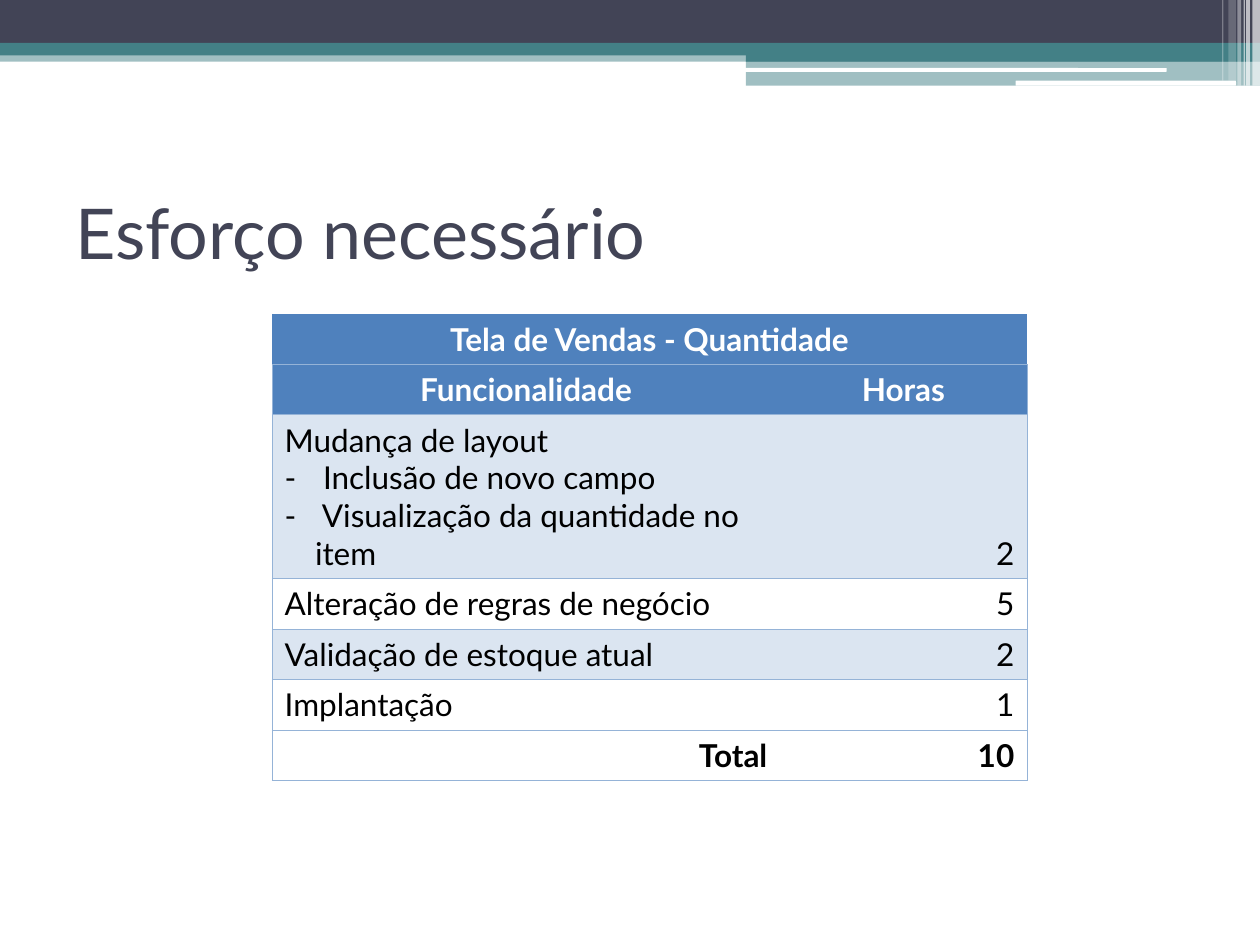
from lxml import etree
from pptx import Presentation
from pptx.dml.color import RGBColor
from pptx.enum import shapes, text
from pptx.oxml.ns import qn
from pptx.util import Inches, Pt

FONT = "Lato"
NAVY, TEAL, WHITE, BLACK = "424456", "438086", "FFFFFF", "000000"
BLUE, PALE, RULE = "4F81BD", "DBE5F1", "95B3D7"
NO_STYLE = "{2D5ABB26-0587-4C30-8999-92F81FD0307C}"

# left, top, width, height, colour, opacity in percent
BANDS = [
    (0, 0.4, 10, 0.09, TEAL, 50),
    (0, 0, 10, 0.34, NAVY, 100),
    (0, 0.34, 10, 0.1, TEAL, 100),
    (5.92, 0.39, 4.08, 0.1, TEAL, 100),
    (5.92, 0.48, 4.08, 0.2, TEAL, 50),
]
ROUNDED_BARS = [
    (5.91, 0.54, 3.35, 0.03, WHITE, 100),
    (8.06, 0.64, 1.75, 0.04, WHITE, 100),
]
STRIPES = [  # left, width, height, opacity
    (9.94, 0.06, 0.68, 65),
    (9.89, 0.03, 0.68, 65),
    (9.87, 0.01, 0.68, 60),
    (9.82, 0.03, 0.68, 40),
    (9.75, 0.06, 0.64, 20),
    (9.7, 0.01, 0.64, 30),
]

TITLE = "Esforço necessário"
HEADING = "Tela de Vendas - Quantidade"
COLUMNS = ("Funcionalidade", "Horas")
EFFORT = [
    (["Mudança de layout", "- Inclusão de novo campo",
      "- Visualização da quantidade no item"], 2),
    (["Alteração de regras de negócio"], 5),
    (["Validação de estoque atual"], 2),
    (["Implantação"], 1),
]
TOTAL = ("Total", sum(hours for _, hours in EFFORT))
COLUMN_WIDTHS = (4.03, 1.96)
ROW_HEIGHTS = (0.33, 0.4, 1.2, 0.4, 0.4, 0.4, 0.4)

LEFT, CENTER, RIGHT = (text.PP_ALIGN.LEFT, text.PP_ALIGN.CENTER,
                       text.PP_ALIGN.RIGHT)


def rgb(colour):
    return RGBColor.from_string(colour)


def add_bar(slide, kind, left, top, width, height, colour, opacity):
    bar = slide.shapes.add_shape(kind, *map(Inches, (left, top, width, height)))
    bar.shadow.inherit = False
    bar.line.fill.background()
    bar.fill.solid()
    bar.fill.fore_color.rgb = rgb(colour)
    if opacity < 100:
        tint = bar.fill._xPr.find(".//" + qn("a:srgbClr"))
        etree.SubElement(tint, qn("a:alpha"), val=str(opacity * 1000))


def add_run(paragraph, words, size, colour, bold=False):
    run = paragraph.add_run()
    run.text = words
    run.font.name, run.font.size, run.font.bold = FONT, Pt(size), bold
    run.font.color.rgb = rgb(colour)


def add_dash(paragraph):
    """Give the paragraph a hanging black dash as its bullet."""
    props = paragraph._p.get_or_add_pPr()
    props.set("marL", str(Inches(0.24)))
    props.set("indent", str(-Inches(0.24)))
    tint = etree.SubElement(props, qn("a:buClr"))
    etree.SubElement(tint, qn("a:srgbClr"), val=BLACK)
    etree.SubElement(props, qn("a:buFont"), typeface=FONT)
    etree.SubElement(props, qn("a:buChar"), char="-")


def set_borders(cell, **colours):
    """Rule the named sides (L, R, T, B) and clear the others."""
    props = cell._tc.get_or_add_tcPr()
    for place, side in enumerate("LRTB"):
        line = etree.Element(qn("a:ln" + side), w=str(Pt(0.23)))
        if side in colours:
            solid = etree.SubElement(line, qn("a:solidFill"))
            etree.SubElement(solid, qn("a:srgbClr"), val=colours[side])
        else:
            etree.SubElement(line, qn("a:noFill"))
        props.insert(place, line)


def fill_cell(cell, lines, align, colour, bold, fill):
    cell.vertical_anchor = text.MSO_ANCHOR.BOTTOM
    if fill:
        cell.fill.solid()
        cell.fill.fore_color.rgb = rgb(fill)
    else:
        cell.fill.background()
    for number, line in enumerate(lines):
        frame = cell.text_frame
        paragraph = frame.add_paragraph() if number else frame.paragraphs[0]
        paragraph.alignment = align
        if line.startswith("-"):
            add_dash(paragraph)
        add_run(paragraph, line.removeprefix("-"), 18, colour, bold)


def add_effort_table(slide):
    table = slide.shapes.add_table(
        len(ROW_HEIGHTS), len(COLUMN_WIDTHS), Inches(2.16), Inches(2.49),
        Inches(sum(COLUMN_WIDTHS)), Inches(sum(ROW_HEIGHTS))).table
    table.first_row = table.horz_banding = False
    table._tbl.tblPr.find(qn("a:tableStyleId")).text = NO_STYLE
    for column, width in zip(table.columns, COLUMN_WIDTHS):
        column.width = Inches(width)
    for row, height in zip(table.rows, ROW_HEIGHTS):
        row.height = Inches(height)

    heading = table.cell(0, 0)
    heading.merge(table.cell(0, 1))
    fill_cell(heading, [HEADING], CENTER, WHITE, True, BLUE)
    set_borders(heading, L=BLUE, B=RULE)

    # lines, hours, alignment of the first and second column, colour, bold, fill
    rows = [([COLUMNS[0]], COLUMNS[1], CENTER, CENTER, WHITE, True, BLUE)]
    for number, (lines, hours) in enumerate(EFFORT):
        band = None if number % 2 else PALE
        rows.append((lines, hours, LEFT, RIGHT, BLACK, False, band))
    rows.append(([TOTAL[0]], TOTAL[1], RIGHT, RIGHT, BLACK, True, None))

    for number, (lines, hours, first, second, *look) in enumerate(rows, 1):
        feature_cell, hours_cell = table.cell(number, 0), table.cell(number, 1)
        fill_cell(feature_cell, lines, first, *look)
        fill_cell(hours_cell, [str(hours)], second, *look)
        set_borders(feature_cell, L=RULE, T=RULE, B=RULE)
        set_borders(hours_cell, R=RULE, T=RULE, B=RULE)


def main():
    deck = Presentation()
    deck.slide_width, deck.slide_height = Inches(10), Inches(7.5)
    slide = deck.slides.add_slide(deck.slide_layouts[6])

    for band in BANDS:
        add_bar(slide, shapes.MSO_SHAPE.RECTANGLE, *band)
    for bar in ROUNDED_BARS:
        add_bar(slide, shapes.MSO_SHAPE.ROUNDED_RECTANGLE, *bar)
    for left, width, height, opacity in STRIPES:
        add_bar(slide, shapes.MSO_SHAPE.RECTANGLE,
                left, 0, width, height, WHITE, opacity)

    title = slide.shapes.add_textbox(*map(Inches, (0.5, 1.25, 9, 1.17))).text_frame
    title.word_wrap = True
    title.vertical_anchor = text.MSO_ANCHOR.MIDDLE
    add_run(title.paragraphs[0], TITLE, 40, NAVY)

    add_effort_table(slide)
    deck.save("out.pptx")


if __name__ == "__main__":
    main()
